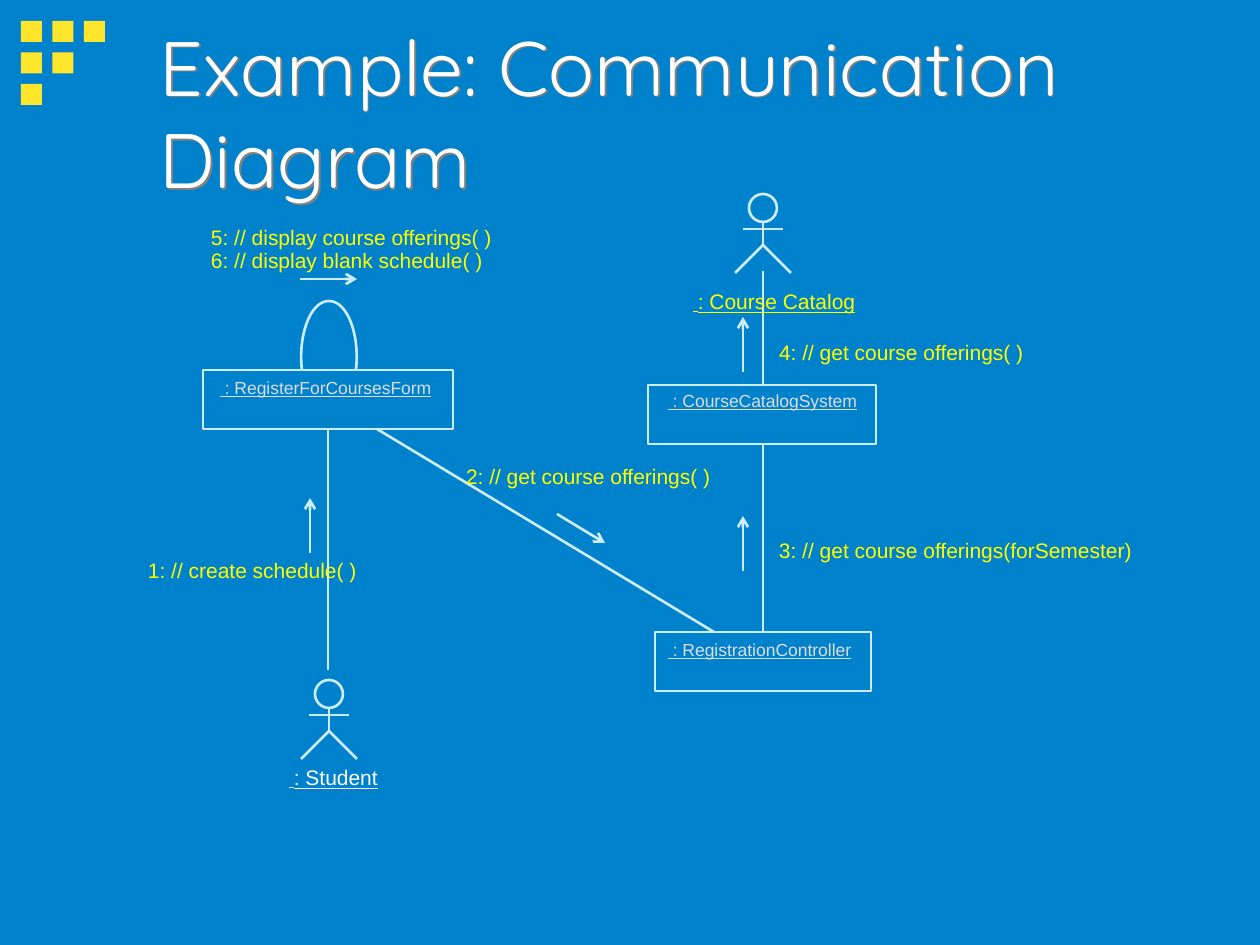
from lxml.etree import SubElement
from pptx import Presentation
from pptx.dml.color import RGBColor as RGB
from pptx.enum.shapes import MSO_CONNECTOR as LINK, MSO_SHAPE as SHAPE
from pptx.enum.text import MSO_ANCHOR as ANCHOR, MSO_AUTO_SIZE as AUTO, PP_ALIGN as ALIGN
from pptx.oxml.ns import qn
from pptx.util import Emu, Pt

SCALE = 914400 / 126
COLORS = {"back": "0081CB", "mark": "FFE62D", "line": "CCECFF", "name": "DDDDDD",
          "call": "FFFF00", "white": "FFFFFF", "shade": "808080"}


def px(n):
    return Emu(round(n * SCALE))


def tint(name):
    return RGB.from_string(COLORS[name])


def stroke(line):
    line.color.rgb = tint("line")
    line.width = Pt(1.5)


def write(para, words, size=12, color="call", font="Arial", under=None):
    run = para.add_run()
    run.text = words
    run.font.size = Pt(size)
    run.font.name = font
    run.font.underline = under
    run.font.color.rgb = tint(color)


def label(shapes, x, y, w, h, words, lead=None, **style):
    """Place a tight one-line label; lead is the color of a small first space."""
    box = shapes.add_textbox(px(x), px(y), px(w), px(h))
    frame = box.text_frame
    frame.margin_left = frame.margin_right = frame.margin_top = frame.margin_bottom = 0
    frame.word_wrap = False
    frame.auto_size = AUTO.SHAPE_TO_FIT_TEXT
    para = frame.paragraphs[0]
    para.alignment = ALIGN.LEFT
    if lead:
        write(para, " ", size=10, color=lead, under=True)
    write(para, words, **style)


def outline(shapes, kind, x, y, w, h):
    shape = shapes.add_shape(kind, px(x), px(y), px(w), px(h))
    shape.shadow.inherit = False
    shape.fill.background()
    stroke(shape.line)


def link(shapes, x1, y1, x2, y2, arrow=False):
    line = shapes.add_connector(LINK.STRAIGHT, px(x1), px(y1), px(x2), px(y2))
    stroke(line.line)
    if arrow:
        SubElement(line.line._get_or_add_ln(), qn("a:tailEnd"), type="arrow")
    SubElement(line._element.spPr, qn("a:effectLst"))


def trace(shapes, points):
    build = shapes.build_freeform(*points[0], scale=SCALE)
    build.add_line_segments(points[1:], close=False)
    shape = build.convert_to_shape()
    shape.shadow.inherit = False
    shape.fill.background()
    stroke(shape.line)
    return shape


def marks(master, slide, x, y, side=21, step=31.5):
    """Draw the corner squares and hand them to the master."""
    for row in range(3):
        for col in range(3 - row):
            mark = slide.shapes.add_shape(SHAPE.RECTANGLE, px(x + col * step),
                                          px(y + row * step), px(side), px(side))
            mark.shadow.inherit = False
            mark.fill.solid()
            mark.fill.fore_color.rgb = tint("mark")
            mark.line.fill.background()
            master.shapes._spTree.append(mark._element)


def title(shape, x, y, w, h, words):
    shape.left, shape.top, shape.width, shape.height = map(px, (x, y, w, h))
    frame = shape.text_frame
    frame.auto_size = AUTO.NONE
    frame.vertical_anchor = ANCHOR.MIDDLE
    para = frame.paragraphs[0]
    para.alignment = ALIGN.LEFT
    write(para, words, size=44, color="white", font="Quicksand")
    # Text shadow, cast by the unfilled box
    shape.fill.background()
    effects = SubElement(shape._element.spPr, qn("a:effectLst"))
    shade = SubElement(effects, qn("a:outerShdw"), dist="17961", dir="2700000")
    SubElement(shade, qn("a:srgbClr"), val=COLORS["shade"])


def actor(shapes, x, y):
    """Draw a stick figure in a box of 56 by 79."""
    parts = shapes.add_group_shape().shapes
    mid = x + 28
    outline(parts, SHAPE.OVAL, mid - 14, y, 28, 28)
    link(parts, mid, y + 28, mid, y + 51)
    link(parts, mid - 20, y + 35, mid + 20, y + 35)
    trace(parts, [(x, y + 79), (mid, y + 51), (x + 56, y + 79)])


def node(shapes, x, y, w, h, dx, dy, wide, words):
    outline(shapes, SHAPE.RECTANGLE, x, y, w, h)
    label(shapes, x + dx, y + dy, wide, 21, words, size=10, color="name", under=True)


def loop(shapes, x, y, w, h):
    """Draw an arch of two curves, each with two control points."""
    mid = x + w / 2
    shape = trace(shapes, [(x + 1, y + h), (x - 3, y + h / 2), (x + 9, y), (mid, y),
                           (x + w - 9, y), (x + w + 3, y + h / 2), (x + w - 1, y + h)])
    path = next(shape._element.iter(qn("a:path")))
    steps = path.findall(qn("a:lnTo"))
    for first in (0, 3):
        curve = SubElement(path, qn("a:cubicBezTo"))
        for step in steps[first:first + 3]:
            curve.append(step[0])
            path.remove(step)


def diagram(shapes):
    # Objects
    node(shapes, 203, 370, 250, 59, 17, 7, 214, " : RegisterForCoursesForm")
    node(shapes, 655, 632, 216, 59, 13, 7, 186, " : RegistrationController")
    node(shapes, 648, 385, 228, 59, 20, 5, 191, " : CourseCatalogSystem")
    loop(shapes, 301, 301, 56, 69)
    # Links between objects
    for ends in ((328, 670, 328, 429), (377, 429, 714, 632),
                 (763, 632, 763, 444), (763, 385, 763, 271)):
        link(shapes, *ends)
    # Message arrows
    for ends in ((300, 279, 357, 279), (310, 553, 310, 498), (557, 514, 605, 543),
                 (743, 571, 743, 516), (743, 372, 743, 317)):
        link(shapes, *ends, arrow=True)
    # Message labels
    for x, y, w, words in (
            (148, 558, 209, "1: // create schedule( )"),
            (466, 464, 246, "2: // get course offerings( )"),
            (779, 538, 354, "3: // get course offerings(forSemester)"),
            (779, 340, 246, "4: // get course offerings( )"),
            (211, 225, 281, "5: // display course offerings( )"),
            (211, 248, 272, "6: // display blank schedule( )")):
        label(shapes, x, y, w, 25, words)
    # Actors
    actor(shapes, 735, 194)
    label(shapes, 693, 289, 163, 25, ": Course Catalog", lead="call", under=True)
    actor(shapes, 301, 680)
    label(shapes, 289, 765, 90, 25, ": Student", lead="name", color="white", under=True)


def main():
    deck = Presentation()
    deck.slide_width, deck.slide_height = px(1260), px(945)
    slide = deck.slides.add_slide(deck.slide_layouts[5])
    slide.background.fill.solid()
    slide.background.fill.fore_color.rgb = tint("back")
    marks(deck.slide_master, slide, 21, 21)
    title(slide.shapes.title, 147, 33, 1071, 157, "Example: Communication Diagram")
    diagram(slide.shapes)
    deck.save("out.pptx")


if __name__ == "__main__":
    main()
